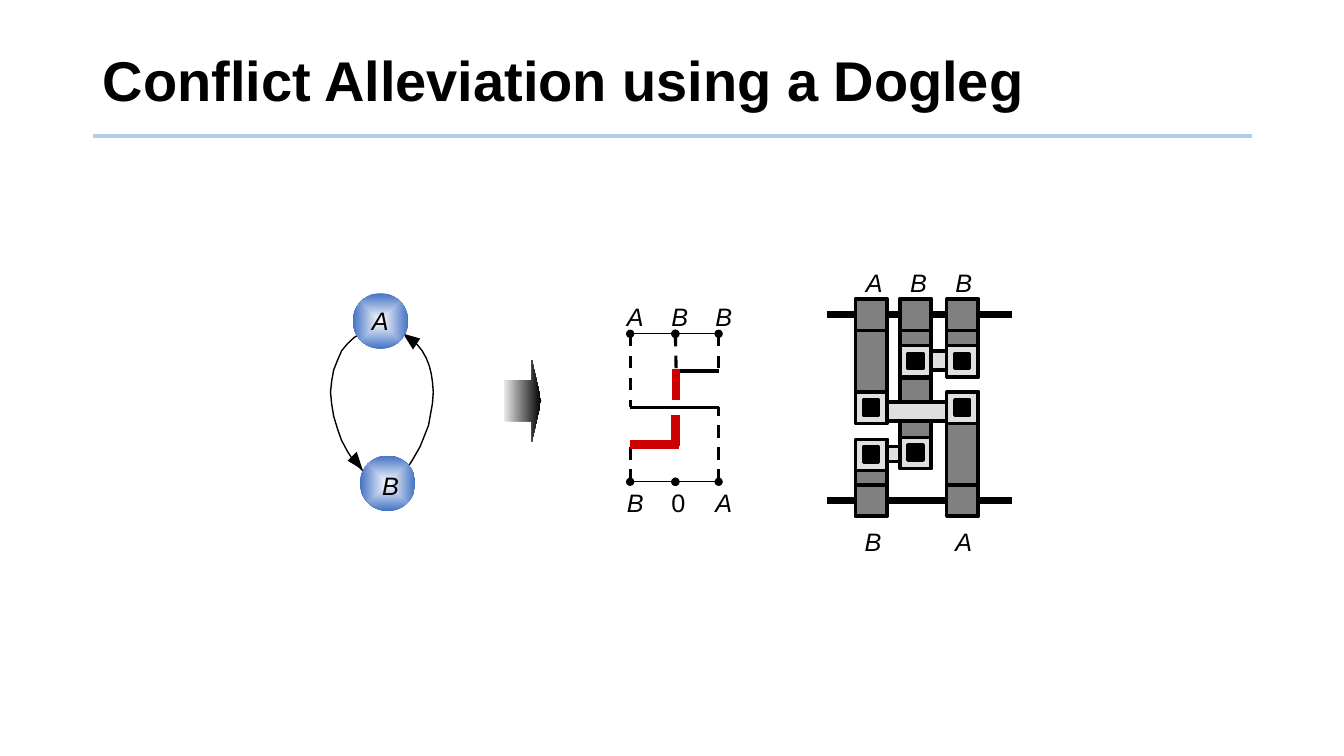
"""Build the slide showing how a dogleg resolves a routing conflict."""
from lxml import etree
from pptx import Presentation
from pptx.dml.color import RGBColor
from pptx.enum.dml import MSO_LINE
from pptx.enum.shapes import MSO_CONNECTOR, MSO_SHAPE
from pptx.enum.text import MSO_ANCHOR
from pptx.oxml.ns import qn
from pptx.util import Cm, Pt

STRAIGHT = MSO_CONNECTOR.STRAIGHT
RECTANGLE, OVAL, ARROW = MSO_SHAPE.RECTANGLE, MSO_SHAPE.OVAL, MSO_SHAPE.RIGHT_ARROW
DASH, MIDDLE = MSO_LINE.DASH, MSO_ANCHOR.MIDDLE
BLACK = RGBColor(0x00, 0x00, 0x00)
WHITE = RGBColor(0xFF, 0xFF, 0xFF)
RULE_BLUE = RGBColor(0xAD, 0xCD, 0xEA)
NODE_BLUE = RGBColor(0x44, 0x72, 0xC4)
DOGLEG_RED = RGBColor(0xCC, 0x00, 0x00)
METAL_GRAY = RGBColor(0x80, 0x80, 0x80)
METAL_LIGHT = RGBColor(0xDF, 0xDF, 0xDF)
ARROW_LIGHT = RGBColor(0xEA, 0xEA, 0xEA)


def add_block(kind, left, top, width, height, fill=None, line=None):
    """Add a preset shape with an optional fill and outline."""
    block = page.shapes.add_shape(kind, Cm(left), Cm(top), Cm(width), Cm(height))
    block.shadow.inherit = False
    if fill is None:
        block.fill.background()
    elif isinstance(fill, RGBColor):
        block.fill.solid()
        block.fill.fore_color.rgb = fill
    else:
        block.fill.gradient()
        block.fill.gradient_angle = 0
        for stop, position, color in zip(block.fill.gradient_stops, (0, 1), fill):
            stop.position = position
            stop.color.rgb = color
    if line is None:
        block.line.fill.background()
    else:
        block.line.color.rgb = BLACK
        block.line.width = Pt(line)
    return block


def add_text(text, left, top, width, height, insets, font_format):
    """Add a one-paragraph text box and return its box."""
    box = page.shapes.add_textbox(Cm(left), Cm(top), Cm(width), Cm(height))
    frame = box.text_frame
    frame.word_wrap = True
    frame.margin_left = frame.margin_right = Cm(insets[0])
    frame.margin_top = frame.margin_bottom = Cm(insets[1])
    span = frame.paragraphs[0].add_run()
    span.text = text
    span.font.color.rgb = BLACK
    for name, value in font_format.items():
        setattr(span.font, name, value)
    return box


deck = Presentation()
deck.slide_width, deck.slide_height = Cm(33.87), Cm(19.05)
page = deck.slides.add_slide(deck.slide_layouts[6])

title = add_text("Conflict Alleviation using a Dogleg", 2.34, 0.71, 29.21, 2.79,
                 (0.25, 0.13), {"name": "Arial", "size": Pt(40), "bold": True})
title.text_frame.vertical_anchor = MIDDLE
title.text_frame.paragraphs[0].line_spacing = 0.9

graph_edges = [
    [(10.19, 8.43), (10.36, 8.56), (10.52, 8.69), (10.64, 8.84), (10.74, 9.02),
     (10.82, 9.22), (10.87, 9.42), (10.9, 9.63), (10.92, 9.88), (10.9, 10.16),
     (10.85, 10.44), (10.8, 10.72), (10.69, 11), (10.59, 11.25), (10.46, 11.48),
     (10.34, 11.68), (10.21, 11.84)],
    [(9.12, 8.38), (8.92, 8.51), (8.76, 8.66), (8.61, 8.84), (8.51, 9.07),
     (8.41, 9.32), (8.36, 9.6), (8.33, 9.88), (8.36, 10.19), (8.41, 10.49),
     (8.51, 10.82), (8.61, 11.1), (8.76, 11.38), (8.94, 11.66), (9.14, 11.86)],
]
edge_heads = [
    [(9.14, 11.84), (8.99, 11.38), (8.76, 11.61)],
    [(10.16, 8.41), (10.41, 8.81), (10.59, 8.53)],
]
for points, is_head in [(edge, False) for edge in graph_edges] + [(head, True) for head in edge_heads]:
    corners = [(Cm(x), Cm(y)) for x, y in points]
    builder = page.shapes.build_freeform(*corners[0])
    builder.add_line_segments(corners[1:], close=is_head)
    outline = builder.convert_to_shape()
    outline.shadow.inherit = False
    if is_head:
        outline.fill.solid()
        outline.fill.fore_color.rgb = BLACK
        outline.line.fill.background()
    else:
        outline.fill.background()
        outline.line.color.rgb = BLACK
        outline.line.width = Pt(1)

for left, top in [(8.89, 7.39), (9.07, 11.48)]:
    node = add_block(OVAL, left, top, 1.4, 1.4, (WHITE, NODE_BLUE))
    gradient = node.element.spPr.find(qn("a:gradFill"))
    gradient.remove(gradient.find(qn("a:lin")))
    shading = etree.SubElement(gradient, qn("a:path"), path="shape")
    etree.SubElement(shading, qn("a:fillToRect"), l="50000", t="50000", r="50000", b="50000")

arrow = add_block(ARROW, 12.7, 9.07, 0.94, 2.06, (ARROW_LIGHT, BLACK))
arrow.adjustments[0], arrow.adjustments[1] = 0.5, 0.25

PIN_1, PIN_2, PIN_3 = 15.88, 17.02, 18.11
TOP, TRACK_1, TRACK_2, TRACK_3, BOTTOM = 8.41, 9.35, 10.26, 11.2, 12.14
wires = [
    (2.34, 3.43, 31.55, 3.43, RULE_BLUE, 3, ""),
    (PIN_1, TOP, PIN_2, TOP, BLACK, 0.75, "pins"),
    (PIN_2, TOP, PIN_3, TOP, BLACK, 0.75, "pins"),
    (PIN_1, BOTTOM, PIN_2, BOTTOM, BLACK, 0.75, "pins"),
    (PIN_2, BOTTOM, PIN_3, BOTTOM, BLACK, 0.75, "pins"),
    (PIN_1, TOP, PIN_1, TRACK_2, BLACK, 2.25, "dash"),
    (PIN_1, TRACK_2, PIN_3, TRACK_2, BLACK, 2.25, ""),
    (PIN_3, BOTTOM, PIN_3, TRACK_2, BLACK, 2.25, "dash"),
    (PIN_3, TOP, PIN_3, TRACK_1, BLACK, 2.25, "dash"),
    (PIN_2, TOP, PIN_2 + 0.02, TRACK_1, BLACK, 2.25, "dash"),
    (PIN_1, BOTTOM, PIN_1, TRACK_3, BLACK, 2.25, "dash"),
    (PIN_1, TRACK_3, 17.12, TRACK_3, DOGLEG_RED, 6, ""),
    (PIN_2, TRACK_1, PIN_3, TRACK_1, BLACK, 2.25, ""),
    (PIN_2, 11.25, PIN_2, 10.46, DOGLEG_RED, 6, ""),
    (PIN_2 + 0.02, 10.08, PIN_2 + 0.02, 9.3, DOGLEG_RED, 6, ""),
    (20.83, 12.62, 25.5, 12.62, BLACK, 5, ""),
    (20.83, 7.92, 25.5, 7.92, BLACK, 5, ""),
]
for x1, y1, x2, y2, color, weight, style in wires:
    wire = page.shapes.add_connector(STRAIGHT, Cm(x1), Cm(y1), Cm(x2), Cm(y2))
    wire.line.color.rgb = color
    wire.line.width = Pt(weight)
    if style == "dash":
        wire.line.dash_style = DASH
    properties = wire.element.spPr
    if style == "pins":
        for end in ("a:headEnd", "a:tailEnd"):
            etree.SubElement(properties.find(qn("a:ln")), qn(end), type="oval")
    etree.SubElement(properties, qn("a:effectLst"))

COLUMN_1, COLUMN_2, COLUMN_3 = 21.56, 22.68, 23.86
CELL, VIA, INSET, OUTLINE = 0.79, 0.38, 0.2, 2.5
metal = [
    (COLUMN_3, 9.88, CELL, 3.12, METAL_GRAY),
    (COLUMN_1, 11.07, CELL, 1.93, METAL_GRAY),
    (22.89, 8.84, 1.68, 0.48, METAL_LIGHT),
    (COLUMN_2, 9.53, CELL, 1.57, METAL_GRAY),
    (22.3, 10.13, 1.65, 0.48, METAL_LIGHT),
    (COLUMN_1, 7.54, CELL, 3.12, METAL_GRAY),
    (22.35, 11.25, 0.38, 0.38, METAL_LIGHT),
    (COLUMN_3, 7.54, CELL, 1.96, METAL_GRAY),
    (COLUMN_2, 7.54, CELL, 1.96, METAL_GRAY),
    (COLUMN_3, 9.88, CELL, CELL, METAL_LIGHT),
]
for left, top, width, height, fill in metal:
    add_block(RECTANGLE, left, top, width, height, fill, OUTLINE)

for left, top in [(COLUMN_1, 7.54), (COLUMN_2, 7.54), (COLUMN_3, 7.54),
                  (COLUMN_1, 12.22), (COLUMN_3, 12.22)]:
    add_block(RECTANGLE, left, top, CELL, CELL, None, OUTLINE)

for left, top in [(COLUMN_1, 11.07), (COLUMN_1, 9.88), (COLUMN_2, 11.02),
                  (COLUMN_3, 8.71), (COLUMN_2, 8.71), (COLUMN_3, 9.88)]:
    add_block(RECTANGLE, left, top, CELL, CELL, METAL_LIGHT, OUTLINE)
    add_block(RECTANGLE, left + INSET, top + INSET, VIA, VIA, BLACK, OUTLINE)

labels = [
    ("A", 9.09, 7.57), ("B", 9.35, 11.73),
    ("A", 15.52, 7.47), ("B", 16.64, 7.47), ("B", 17.75, 7.47),
    ("B", 15.52, 12.14), ("0", 16.64, 12.14), ("A", 17.75, 12.14),
    ("A", 21.54, 6.6), ("B", 22.66, 6.6), ("B", 23.8, 6.6),
    ("B", 21.51, 13.13), ("A", 23.8, 13.13),
]
for text, left, top in labels:
    add_text(text, left, top, 0.94, 0.99, (0.28, 0.13),
             {"name": "Arial", "size": Pt(18), "italic": text != "0"})

deck.save("out.pptx")
